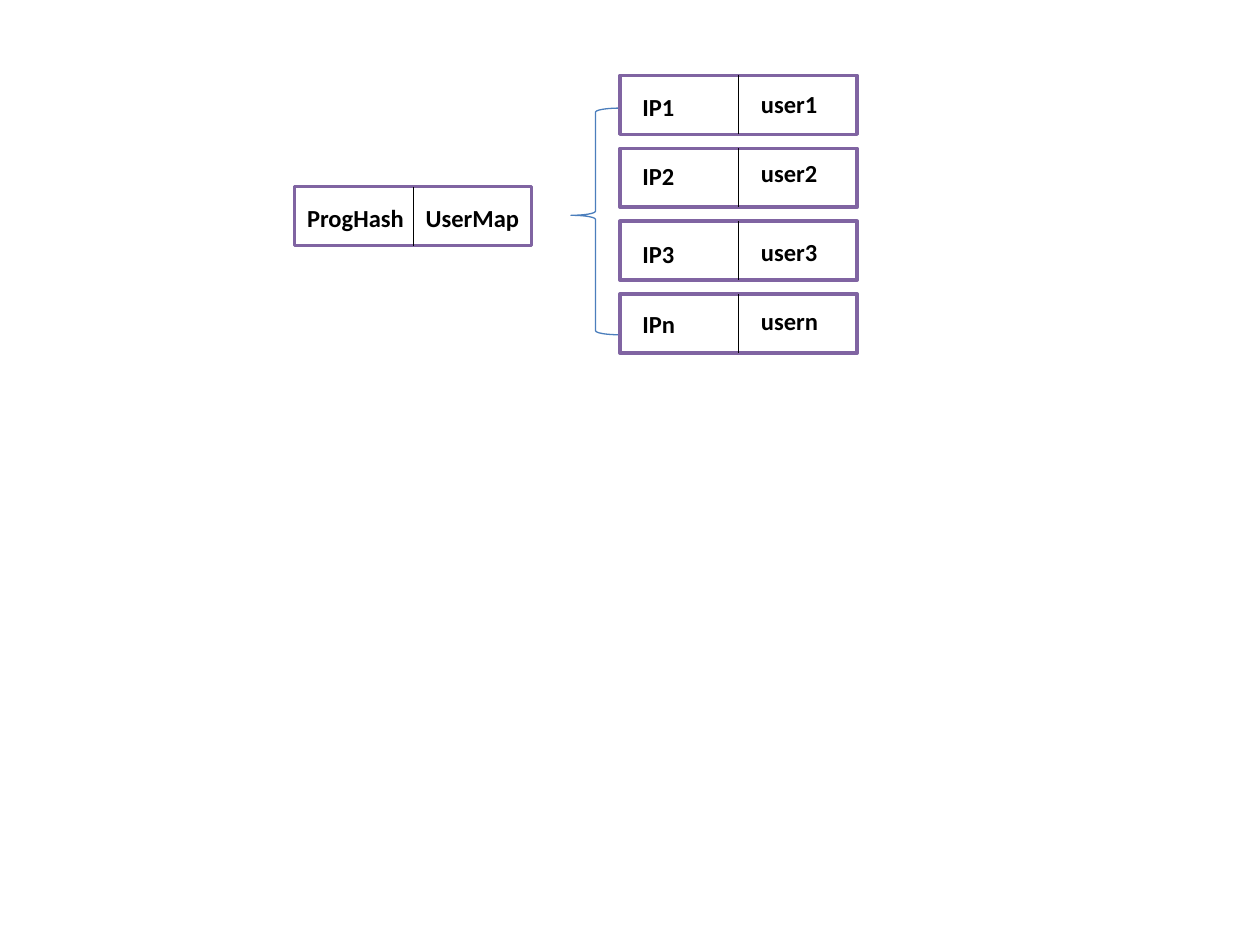
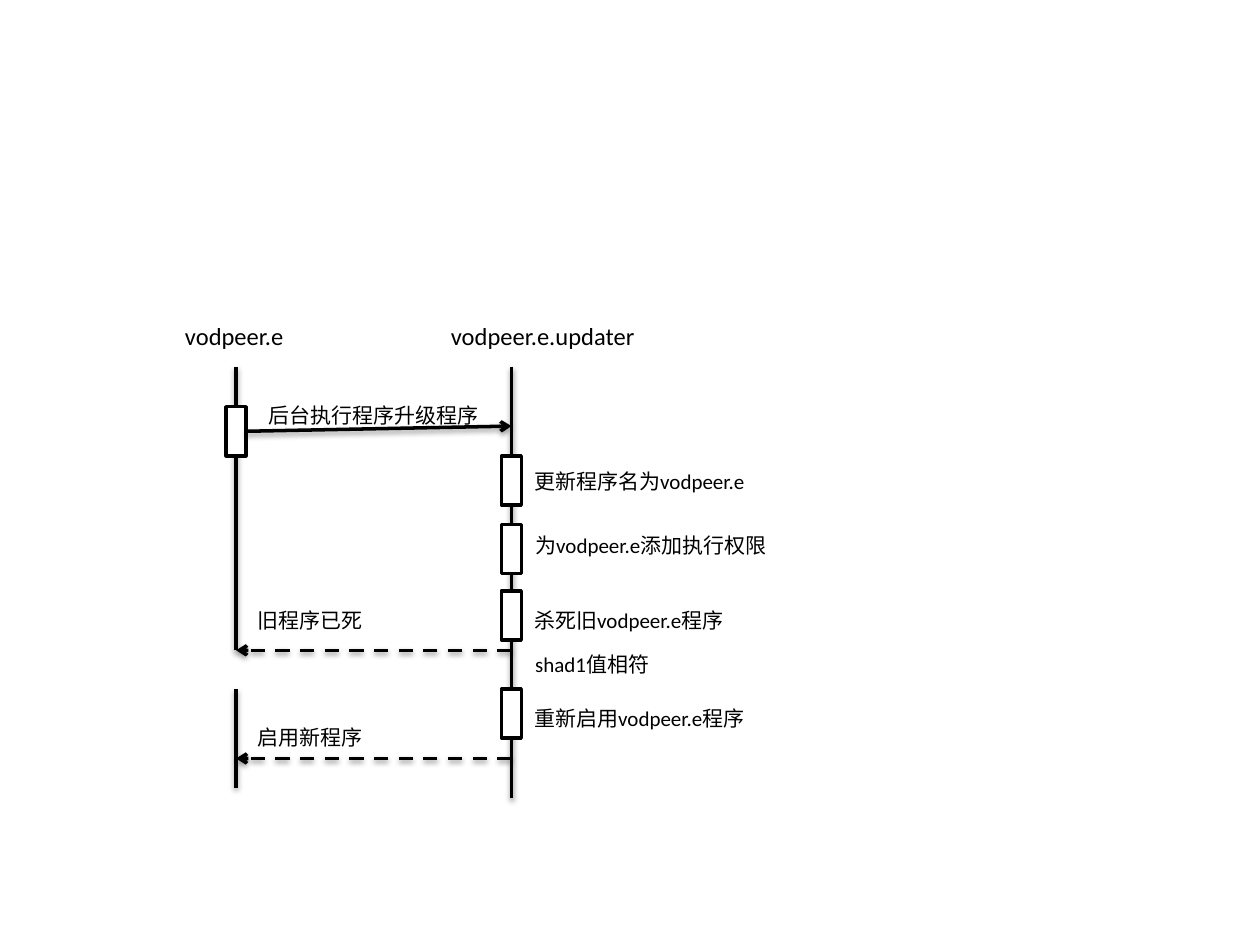
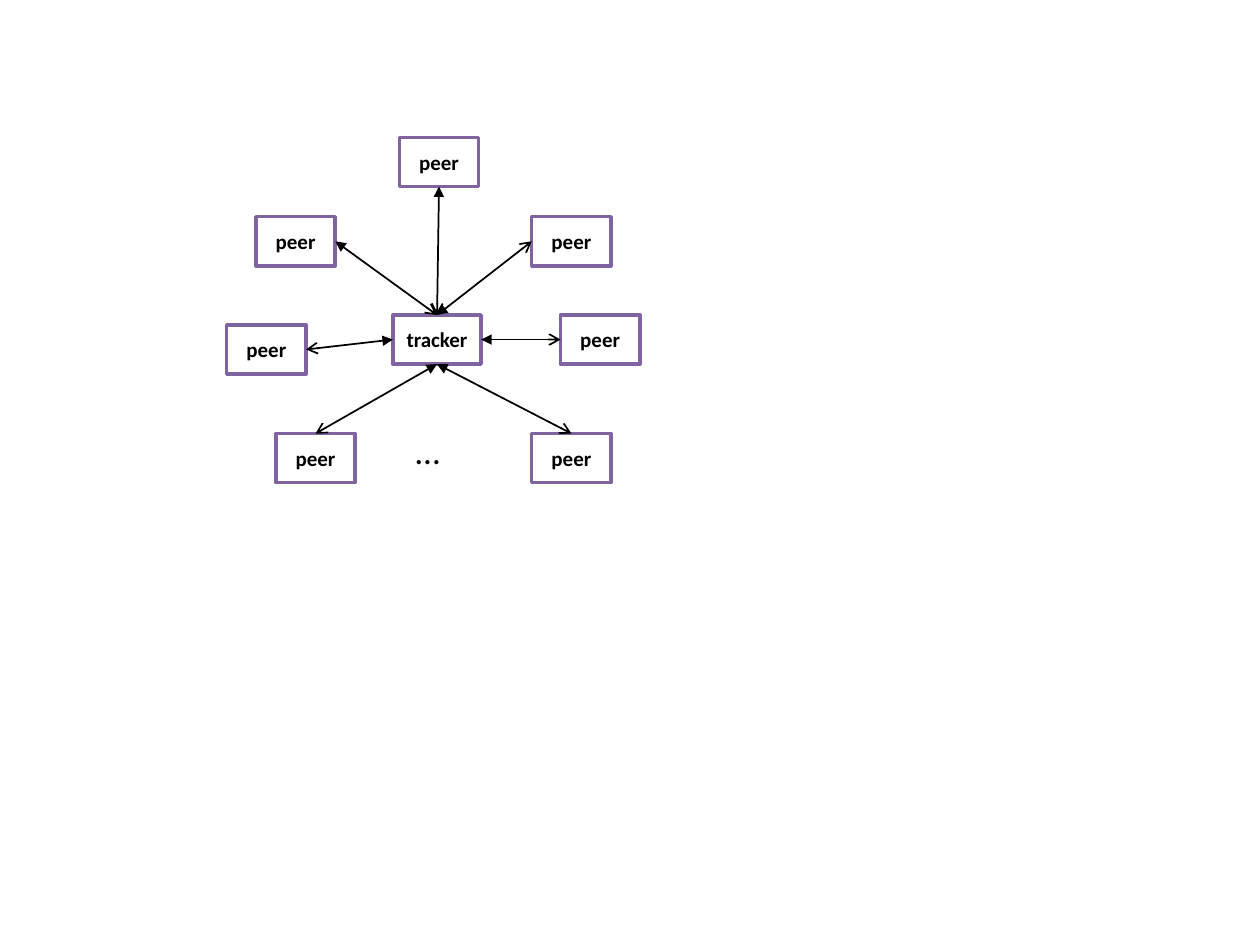
from typing import NamedTuple

from pptx import Presentation
from pptx.dml.color import RGBColor
from pptx.enum.dml import MSO_LINE
from pptx.enum.shapes import MSO_CONNECTOR, MSO_SHAPE
from pptx.enum.text import MSO_ANCHOR, MSO_AUTO_SIZE, PP_ALIGN
from pptx.oxml import parse_xml
from pptx.oxml.ns import nsdecls
from pptx.shapes.autoshape import Shape
from pptx.shapes.connector import Connector
from pptx.slide import Slide
from pptx.text.text import TextFrame
from pptx.util import Cm, Pt

FONT = "Calibri"
BLACK, WHITE, PURPLE, BLUE = "000000", "FFFFFF", "8064A2", "4B7EBC"
TOP, LEFT, BOTTOM, RIGHT = range(4)
SHADOW = (
    '<a:outerShdw blurRad="39370" dist="20320" dir="5400000" rotWithShape="0">'
    '<a:srgbClr val="000000"><a:alpha val="38000"/></a:srgbClr></a:outerShdw>'
)


class Label(NamedTuple):
    text: str
    left: float
    top: float
    width: float
    size: int = 12
    bold: bool = False
    wrap: bool = True


class Peer(NamedTuple):
    left: float
    top: float
    side: int
    tracker_side: int
    starts: bool = False


def colour(code: str) -> RGBColor:
    return RGBColor.from_string(code)


def style_text(frame: TextFrame, size: int, bold: bool) -> None:
    for para in frame.paragraphs:
        for span in para.runs:
            span.font.name = FONT
            span.font.size = Pt(size)
            span.font.bold = bold
            span.font.color.rgb = colour(BLACK)


def add_box(page: Slide, left: float, top: float, width: float, height: float,
            line: str = PURPLE, text: str = "") -> Shape:
    box = page.shapes.add_shape(
        MSO_SHAPE.RECTANGLE, Cm(left), Cm(top), Cm(width), Cm(height))
    box.shadow.inherit = False
    box.fill.solid()
    box.fill.fore_color.rgb = colour(WHITE)
    box.line.color.rgb = colour(line)
    box.line.width = Pt(2)
    if text:
        frame = box.text_frame
        frame.text = text
        frame.word_wrap = False
        frame.vertical_anchor = MSO_ANCHOR.MIDDLE
        frame.paragraphs[0].alignment = PP_ALIGN.CENTER
        style_text(frame, 12, True)
    return box


def add_label(page: Slide, label: Label) -> None:
    height = label.size * 0.042 + 0.26
    box = page.shapes.add_textbox(
        Cm(label.left), Cm(label.top), Cm(label.width), Cm(height))
    frame = box.text_frame
    frame.text = label.text
    frame.word_wrap = label.wrap
    frame.auto_size = MSO_AUTO_SIZE.SHAPE_TO_FIT_TEXT
    style_text(frame, label.size, label.bold)


def add_line(page: Slide, start: tuple[float, float] = (0, 0),
             end: tuple[float, float] = (0, 0), width: float = 2,
             head: str = "", tail: str = "", dashed: bool = False,
             shadow: bool = False) -> Connector:
    line = page.shapes.add_connector(
        MSO_CONNECTOR.STRAIGHT, *(Cm(value) for value in (*start, *end)))
    line.line.color.rgb = colour(BLACK)
    line.line.width = Pt(width)
    if dashed:
        line.line.dash_style = MSO_LINE.DASH
    outline = line.line._get_or_add_ln()
    for tag, kind in (("headEnd", head), ("tailEnd", tail)):
        if kind:
            outline.append(parse_xml(f'<a:{tag} {nsdecls("a")} type="{kind}"/>'))
    effect = SHADOW if shadow else ""
    line._element.spPr.append(
        parse_xml(f'<a:effectLst {nsdecls("a")}>{effect}</a:effectLst>'))
    return line


def join(line: Connector, start: Shape, start_side: int, end: Shape, end_side: int) -> None:
    line.begin_connect(start, start_side)
    line.end_connect(end, end_side)


# Slide 1: hash entry and its user map
def build_user_map(page: Slide) -> None:
    def add_pair(left: float, top: float) -> None:
        box = add_box(page, left, top, 4.78, 1.19)
        join(add_line(page, width=0.75), box, TOP, box, BOTTOM)

    add_pair(5.94, 3.76)
    for text, left in (("ProgHash", 5.94), ("UserMap", 8.33)):
        add_label(page, Label(text, left, 3.96, 2.97, 14, True))

    brace = page.shapes.add_shape(
        MSO_SHAPE.LEFT_BRACE, Cm(11.51), Cm(2.18), Cm(0.99), Cm(4.57))
    brace.shadow.inherit = False
    brace.fill.background()
    brace.line.color.rgb = colour(BLUE)
    brace.line.width = Pt(0.75)
    brace.adjustments[0] = 0.083
    brace.adjustments[1] = 0.473

    for row, (suffix, text_top) in enumerate(
            (("1", 1.73), ("2", 3.12), ("3", 4.7), ("n", 6.1))):
        add_pair(12.5, 1.52 + row * 1.47)
        add_label(page, Label(f"IP{suffix}", 12.7, text_top, 2.18, 14, True))
        add_label(page, Label(f"user{suffix}", 15.09, text_top - 0.05, 2.18, 14, True))


# Slide 2: update sequence
def build_update_sequence(page: Slide) -> None:
    program, updater = 4.76, 10.31

    # Lifelines
    for x, top, bottom in ((program, 7.39, 13.11), (program, 13.89, 15.88),
                           (updater, 7.39, 16.08)):
        add_line(page, (x, top), (x, bottom), shadow=True)

    # Messages and activation bars
    for y in (13.11, 15.29):
        add_line(page, (updater, y), (program, y), tail="arrow", dashed=True, shadow=True)

    def add_activation(x: float, top: float) -> Shape:
        return add_box(page, x - 0.2, top, 0.4, 0.99, BLACK)

    caller = add_activation(program, 8.2)
    for top in (9.19, 10.57, 11.91, 13.89):
        add_activation(updater, top)
    call = add_line(page, (program, 8.7), (updater, 8.59), tail="arrow", shadow=True)
    call.begin_connect(caller, RIGHT)

    # Names and steps
    for label in (
        Label("vodpeer.e", 3.48, 6.35, 2.51, 14, wrap=False),
        Label("vodpeer.e.updater", 8.84, 6.35, 4.27, 14, wrap=False),
        Label("后台执行程序升级程序", 5.16, 8, 4.78, wrap=False),
        Label("更新程序名为vodpeer.e", 10.52, 9.32, 4.8),
        Label("为vodpeer.e添加执行权限", 10.54, 10.62, 5.33),
        Label("杀死旧vodpeer.e程序", 10.52, 12.12, 5.33),
        Label("shad1值相符", 10.54, 13, 2.84),
        Label("重新启用vodpeer.e程序", 10.52, 14.1, 5.33),
        Label("旧程序已死", 4.95, 12.12, 2.64, wrap=False),
        Label("启用新程序", 4.95, 14.48, 2.64, wrap=False),
    ):
        add_label(page, label)


# Slide 3: tracker and peers
def build_tracker(page: Slide) -> None:
    tracker = add_box(page, 7.92, 6.35, 1.78, 0.99, text="tracker")
    for peer in (
        Peer(8.05, 2.77, BOTTOM, TOP, starts=True),
        Peer(5.16, 4.37, RIGHT, TOP, starts=True),
        Peer(10.72, 4.37, LEFT, TOP),
        Peer(11.3, 6.35, LEFT, RIGHT),
        Peer(10.72, 8.74, TOP, BOTTOM),
        Peer(5.56, 8.74, TOP, BOTTOM),
        Peer(4.57, 6.55, RIGHT, LEFT),
    ):
        box = add_box(page, peer.left, peer.top, 1.6, 0.99, text="peer")
        link = add_line(page, width=1, head="triangle", tail="arrow")
        if peer.starts:
            join(link, box, peer.side, tracker, peer.tracker_side)
        else:
            join(link, tracker, peer.tracker_side, box, peer.side)
    add_label(page, Label("…", 8.13, 8.53, 1.4, 20))


def main() -> None:
    deck = Presentation()
    deck.slide_width, deck.slide_height = Cm(25.4), Cm(19.05)
    blank = deck.slide_layouts[6]
    for build in (build_user_map, build_update_sequence, build_tracker):
        build(deck.slides.add_slide(blank))
    deck.save("out.pptx")


if __name__ == "__main__":
    main()
